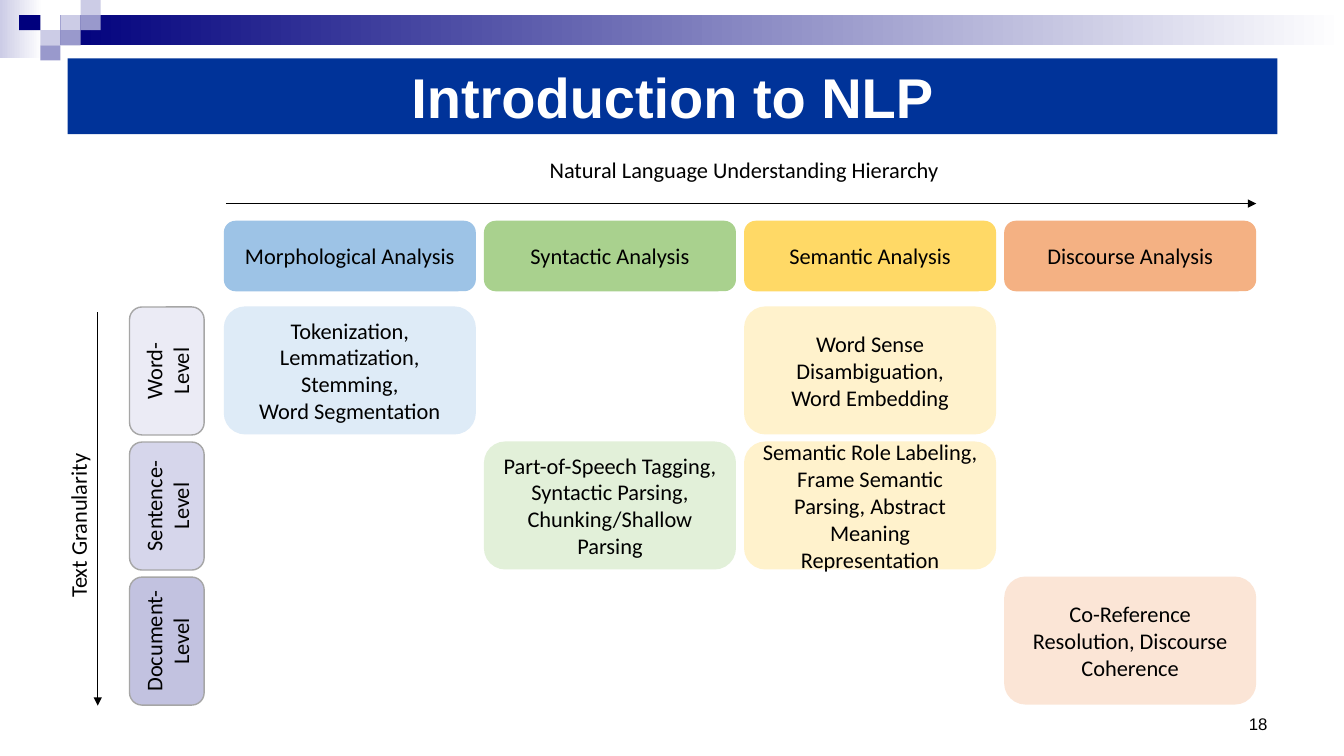
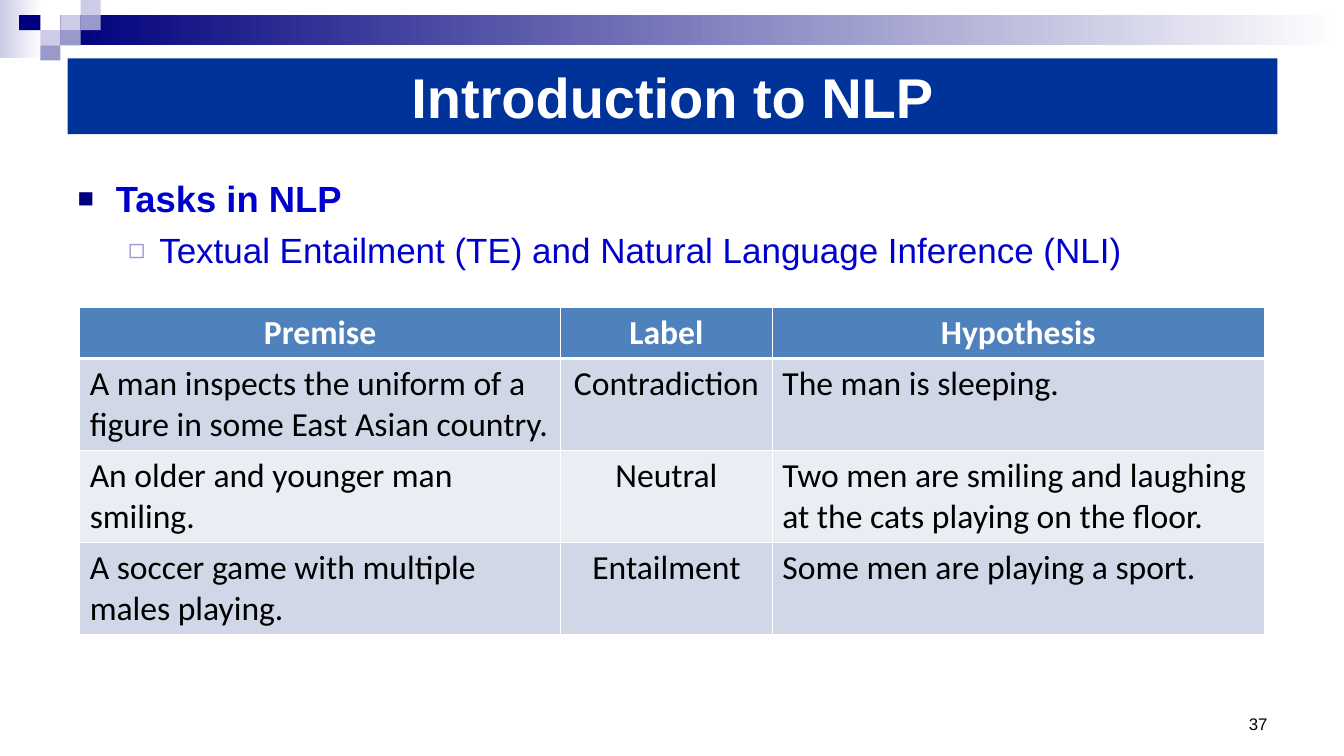
from lxml import etree
from pptx import Presentation
from pptx.dml.color import RGBColor
from pptx.enum.shapes import MSO_CONNECTOR, MSO_SHAPE
from pptx.enum.text import MSO_ANCHOR, MSO_AUTO_SIZE, PP_ALIGN
from pptx.oxml.ns import qn
from pptx.util import Inches, Pt

RECT, ROUND = MSO_SHAPE.RECTANGLE, MSO_SHAPE.ROUNDED_RECTANGLE
LINE = MSO_CONNECTOR.STRAIGHT
LEFT, MID, RIGHT = PP_ALIGN.LEFT, PP_ALIGN.CENTER, PP_ALIGN.RIGHT
TOP, CENTER, LOW = MSO_ANCHOR.TOP, MSO_ANCHOR.MIDDLE, MSO_ANCHOR.BOTTOM
FIXED = MSO_AUTO_SIZE.NONE

HEAD, BODY = "Arial", "Calibri"
COLORS = {
    "white": "FFFFFF", "black": "000000", "gray": "A6A6A6",
    "title": "003399", "list": "0000CC",
    "navy": "00007D", "lilac": "9999CC", "pale": "CCCCE6",
    "word": "EBEBF5", "sentence": "D6D6EB", "document": "C2C2E0",
    "blue": "9DC3E6", "green": "A9D18E", "gold": "FFD966", "orange": "F4B183",
    "light blue": "DEEBF7", "light green": "E2F0D9",
    "light gold": "FFF2CC", "light orange": "FBE5D6",
    "header": "4F81BD", "odd": "D0D8E8", "even": "E9EDF4",
}
# Corner ornament: left, top, width, height, colour
BARS = [(0, 0, 0.42, 0.58, "pale"), (0.6, 0.15, 12.73, 0.3, "navy")]
TILES = [
    (0.6, 0.15, 0.2, 0.15, "pale"), (0.8, 0, 0.2, 0.15, "pale"),
    (0.8, 0.15, 0.2, 0.15, "lilac"), (0.4, 0.3, 0.2, 0.15, "pale"),
    (0.19, 0.15, 0.21, 0.15, "navy"), (0.6, 0.3, 0.2, 0.15, "lilac"),
    (0.4, 0.45, 0.2, 0.15, "lilac"),
]
# List levels: bullet, its colour and size, margin, indent, text size, bold, space
LEVELS = [
    ("■", "navy", 75, 0.38, -0.38, 26, True, 0),
    ("◻", "lilac", 80, 0.81, -0.31, 25, False, 6),
]


def color(name):
    return RGBColor.from_string(COLORS[name])


def add(parent, tag, **attrs):
    node = etree.SubElement(parent, qn(tag))
    for key, value in attrs.items():
        node.set(key, str(value))
    return node


def place(shape, left, top, width, height):
    shape.left, shape.top = Inches(left), Inches(top)
    shape.width, shape.height = Inches(width), Inches(height)


class Deck:
    def __init__(self):
        self.prs = Presentation()
        self.prs.slide_width, self.prs.slide_height = Inches(13.33), Inches(7.5)
        self.slide = None

    def start(self, layout, title, number):
        """Open a slide with the shared ornament, title band and number."""
        self.slide = self.prs.slides.add_slide(self.prs.slide_layouts[layout])
        for *box, tint in BARS:
            fill = self.shape(box, tint).fill
            fill.gradient()
            fill.gradient_angle = 0
            for stop, name in zip(fill.gradient_stops, (tint, "white")):
                stop.color.rgb = color(name)
        for *box, tint in TILES:
            self.shape(box, tint)
        band = self.slide.shapes.title
        place(band, 0.67, 0.58, 12, 0.75)
        band.fill.solid()
        band.fill.fore_color.rgb = color("title")
        self.text(band.text_frame, title, 40, HEAD, "white", True)
        self.label((11.11, 6.83, 1.56, 0.5), number, 12, HEAD, RIGHT, LOW)

    def text(self, frame, text, size=16, font=BODY, tint="black",
             bold=False, align=MID, anchor=CENTER):
        frame.text = text
        frame.word_wrap = True
        frame.auto_size = FIXED
        frame.vertical_anchor = anchor
        for para in frame.paragraphs:
            para.alignment = align
            self.style(para, size, font, tint, bold)

    def style(self, para, size, font, tint, bold):
        for run in para.runs:
            run.font.size, run.font.name, run.font.bold = Pt(size), font, bold
            run.font.color.rgb = color(tint)

    def shape(self, box, tint, text="", kind=RECT, edge=None, turn=0):
        shape = self.slide.shapes.add_shape(kind, *map(Inches, box))
        shape.shadow.inherit = False
        shape.rotation = turn
        shape.fill.solid()
        shape.fill.fore_color.rgb = color(tint)
        if edge:
            shape.line.color.rgb = color(edge)
            shape.line.width = Pt(1)
        else:
            shape.line.fill.background()
        if text:
            self.text(shape.text_frame, text)
        return shape

    def label(self, box, text, size=16, font=BODY, align=MID, anchor=TOP, turn=0):
        label = self.slide.shapes.add_textbox(*map(Inches, box))
        label.rotation = turn
        self.text(label.text_frame, text, size, font, align=align, anchor=anchor)

    def arrow(self, *ends):
        arrow = self.slide.shapes.add_connector(LINE, *map(Inches, ends))
        arrow.line.color.rgb = color("black")
        arrow.line.width = Pt(0.75)
        props = arrow._element.spPr
        add(props.find(qn("a:ln")), "a:tailEnd", type="triangle")
        add(props, "a:effectLst")

    def list(self, box, lines):
        """Fill the body placeholder with one line for each (level, text)."""
        body = self.slide.placeholders[1]
        place(body, *box)
        frame = body.text_frame
        frame.text = "\n".join(text for _, text in lines)
        frame.auto_size = FIXED
        for para, (level, _) in zip(frame.paragraphs, lines):
            mark, tint, scale, margin, indent, size, bold, space = LEVELS[level]
            para.level = level
            props = para._p.get_or_add_pPr()
            props.set("marL", str(Inches(margin)))
            props.set("indent", str(Inches(indent)))
            add(add(props, "a:buClr"), "a:srgbClr", val=COLORS[tint])
            add(props, "a:buSzPct", val=scale * 1000)
            add(props, "a:buFont", typeface=HEAD)
            add(props, "a:buChar", char=mark)
            para.space_before = Pt(space)
            self.style(para, size, HEAD, "list", bold)

    def border(self, cell, top, bottom):
        props = cell._tc.get_or_add_tcPr()
        sides = {"a:lnL": 1, "a:lnR": 1, "a:lnT": top, "a:lnB": bottom}
        for tag, width in sides.items():
            line = add(props, tag, w=Pt(width))
            add(add(line, "a:solidFill"), "a:srgbClr", val=COLORS["white"])

    def table(self, left, top, widths, heights, rows):
        box = (left, top, sum(widths), sum(heights))
        table = self.slide.shapes.add_table(
            len(rows), len(widths), *map(Inches, box)).table
        table.horz_banding = False
        for col, width in zip(table.columns, widths):
            col.width = Inches(width)
        for i, row in enumerate(rows):
            table.rows[i].height = Inches(heights[i])
            head = i == 0
            tint = "header" if head else "odd" if i % 2 else "even"
            for j, text in enumerate(row):
                cell = table.cell(i, j)
                self.border(cell, 3 if i == 1 else 1, 3 if head else 1)
                cell.fill.solid()
                cell.fill.fore_color.rgb = color(tint)
                cell.text = text
                para = cell.text_frame.paragraphs[0]
                para.alignment = MID if head or j == 1 else LEFT
                self.style(para, 24, BODY, "white" if head else "black", head)


def levels(deck):
    """Grid of tasks by kind of analysis and text level."""
    deck.start(5, "Introduction to NLP", "18")
    wide, high = 2.5, 1.27
    cols = [2.22 + 2.58 * i for i in range(4)]
    rows = [3.04 + 1.34 * i for i in range(3)]

    # Column heads
    heads = [("Morphological Analysis", "blue"), ("Syntactic Analysis", "green"),
             ("Semantic Analysis", "gold"), ("Discourse Analysis", "orange")]
    for left, (text, tint) in zip(cols, heads):
        deck.shape((left, 2.19, wide, 0.7), tint, text, ROUND)

    # Row heads, turned to read upward
    for top, name in zip(rows, ("word", "sentence", "document")):
        deck.shape((1.02, top + 0.27, high, 0.74), name,
                   name.title() + "-Level", ROUND, "gray", 270)

    # Tasks: column, row, colour, text
    tasks = [
        (0, 0, "light blue",
         "Tokenization, Lemmatization,\nStemming,\nWord Segmentation"),
        (1, 1, "light green",
         "Part-of-Speech Tagging, Syntactic Parsing, Chunking/Shallow Parsing"),
        (2, 0, "light gold", "Word Sense Disambiguation,\nWord Embedding"),
        (2, 1, "light gold", "Semantic Role Labeling, Frame Semantic Parsing, "
                             "Abstract Meaning Representation"),
        (3, 2, "light orange", "Co-Reference Resolution, Discourse Coherence"),
    ]
    for col, row, tint, text in tasks:
        deck.shape((cols[col], rows[row], wide, high), tint, text, ROUND)

    # Axes
    deck.arrow(0.97, 3.1, 0.97, 7)
    deck.arrow(2.24, 2.02, 12.46, 2.02)
    deck.label((-0.06, 5.03, 1.67, 0.37), "Text Granularity", turn=270)
    deck.label((5.17, 1.5, 4.42, 0.37), "Natural Language Understanding Hierarchy")


def entail(deck):
    """Task list with a table of examples."""
    deck.start(1, "Introduction to NLP", "37")
    deck.list((0.67, 1.7, 12, 5.33), [
        (0, "Tasks in NLP"),
        (1, "Textual Entailment (TE) and Natural Language Inference (NLI)"),
    ])
    deck.table(0.79, 3.05, (4.77, 2.1, 4.88), (0.5, 0.91, 0.91, 0.91), [
        ("Premise", "Label", "Hypothesis"),
        ("A man inspects the uniform of a figure in some East Asian country.",
         "Contradiction", "The man is sleeping."),
        ("An older and younger man smiling.", "Neutral",
         "Two men are smiling and laughing at the cats playing on the floor."),
        ("A soccer game with multiple males playing.", "Entailment",
         "Some men are playing a sport."),
    ])


def main():
    deck = Deck()
    levels(deck)
    entail(deck)
    deck.prs.save("out.pptx")


if __name__ == "__main__":
    main()
